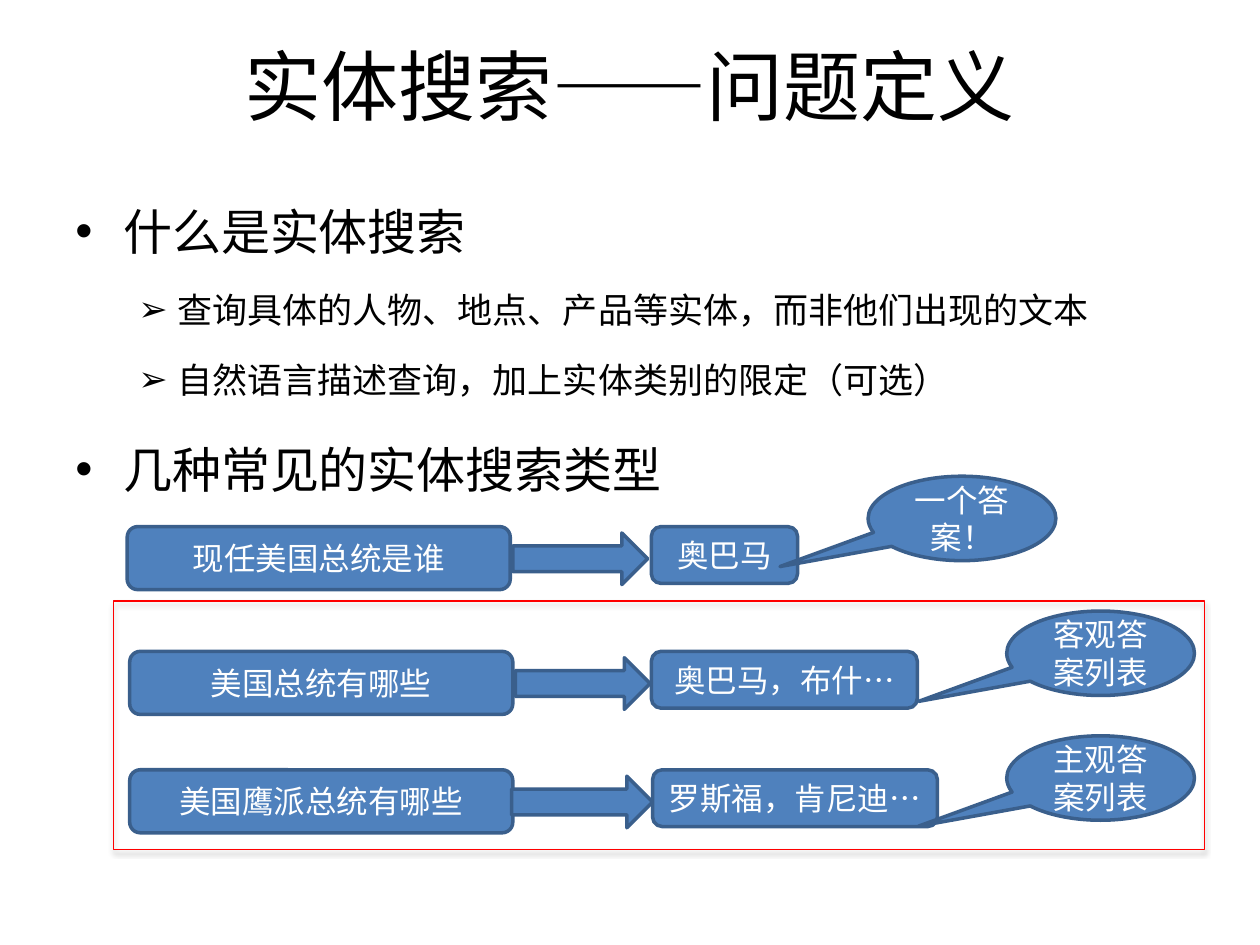
from lxml import etree
from pptx import Presentation
from pptx.dml.color import RGBColor
from pptx.enum.shapes import MSO_SHAPE as Shape
from pptx.enum.text import MSO_ANCHOR as Anchor, PP_ALIGN as Align
from pptx.oxml.ns import qn
from pptx.util import Inches, Pt

EAST_ASIAN_FONT = "Noto Sans CJK SC"
BLUE, DARK_BLUE, WHITE, BLACK, RED = "4F81BD", "3A5F8C", "FFFFFF", "000000", "FF0000"

# text, level, line spacing, space before in points
OUTLINE = [
    ("什么是实体搜索", 0, 1.0, 0),
    ("查询具体的人物、地点、产品等实体，而非他们出现的文本", 1, 1.5, 4),
    ("自然语言描述查询，加上实体类别的限定（可选）", 1, 1.5, 4),
    ("几种常见的实体搜索类型", 0, 1.5, 5.6),
]
# bullet, left margin and hanging indent in inches, text size
LEVELS = [("•", 0.38, 0.38, 28), ("➢", 0.81, 0.31, 20)]

# row top, question (text, left), arrow (left, width),
# answer (text, left, width), callout (text, left, top)
EXAMPLES = [
    (4.18, ("现任美国总统是谁", 1.01), (4.07, 1.07),
     ("奥巴马", 5.17, 1.16), ("一个答案！", 6.89, 3.78)),
    (5.17, ("美国总统有哪些", 1.03), (4.09, 1.07),
     ("奥巴马，布什…", 5.17, 2.11), ("客观答案列表", 7.99, 4.85)),
    (6.11, ("美国鹰派总统有哪些", 1.03), (4.06, 1.12),
     ("罗斯福，肯尼迪…", 5.18, 2.26), ("主观答案列表", 7.99, 5.84)),
]


def color(value):
    return RGBColor.from_string(value)


def add_run(paragraph, text, size, font_name, font_color):
    run = paragraph.add_run()
    run.text = text
    run.font.size = Pt(size)
    run.font.name = font_name
    run.font.color.rgb = color(font_color)
    east_asian = etree.SubElement(run.font._element, qn("a:ea"))
    east_asian.set("typeface", EAST_ASIAN_FONT)


def add_text_frame(slide, box):
    frame = slide.shapes.add_textbox(*map(Inches, box)).text_frame
    frame.word_wrap = True
    return frame


def add_title(slide, box):
    frame = add_text_frame(slide, box)
    frame.vertical_anchor = Anchor.MIDDLE
    paragraph = frame.paragraphs[0]
    paragraph.alignment = Align.CENTER
    add_run(paragraph, "实体搜索——问题定义", 44, EAST_ASIAN_FONT, BLACK)


def set_bullet(paragraph, character, margin, hanging):
    properties = paragraph._p.get_or_add_pPr()
    properties.set("marL", str(Inches(margin)))
    properties.set("indent", str(-Inches(hanging)))
    font = etree.SubElement(properties, qn("a:buFont"))
    font.set("typeface", "Arial")
    etree.SubElement(properties, qn("a:buChar")).set("char", character)


def add_outline(slide, box):
    frame = add_text_frame(slide, box)
    for index, (text, level, spacing, before) in enumerate(OUTLINE):
        paragraph = frame.add_paragraph() if index else frame.paragraphs[0]
        bullet, margin, hanging, size = LEVELS[level]
        set_bullet(paragraph, bullet, margin, hanging)
        paragraph.level = level
        paragraph.line_spacing = spacing
        paragraph.space_before = Pt(before)
        add_run(paragraph, text, size, "Times New Roman", BLACK)


def add_blue_shape(slide, kind, box, text=""):
    shape = slide.shapes.add_shape(kind, *map(Inches, box))
    shape.shadow.inherit = False
    shape.fill.solid()
    shape.fill.fore_color.rgb = color(BLUE)
    shape.line.color.rgb = color(DARK_BLUE)
    shape.line.width = Pt(2)
    if text:
        frame = shape.text_frame
        frame.word_wrap = True
        frame.vertical_anchor = Anchor.MIDDLE
        paragraph = frame.paragraphs[0]
        paragraph.alignment = Align.CENTER
        add_run(paragraph, text, 18, "Calibri", WHITE)
    return shape


def add_example(slide, top, question, arrow, answer, callout):
    """Draw one row: question, arrow, answer and the callout on the answer."""
    text, left = question
    add_blue_shape(slide, Shape.ROUNDED_RECTANGLE, (left, top, 3.04, 0.5), text)
    left, width = arrow
    add_blue_shape(slide, Shape.RIGHT_ARROW, (left, top + 0.05, width, 0.41))
    text, left, width = answer
    add_blue_shape(slide, Shape.ROUNDED_RECTANGLE, (left, top, width, 0.45), text)
    text, left, callout_top = callout
    bubble = add_blue_shape(slide, Shape.OVAL_CALLOUT,
                            (left, callout_top, 1.49, 0.67), text)
    bubble.adjustments[0] = -0.97
    bubble.adjustments[1] = 0.57


def add_list_frame(slide, box):
    """Outline the two list-type examples with a softly shadowed red frame."""
    frame = slide.shapes.add_shape(Shape.RECTANGLE, *map(Inches, box))
    frame.fill.background()
    frame.line.color.rgb = color(RED)
    frame.line.width = Pt(0.75)
    frame.shadow.inherit = False
    effects = frame._element.spPr.find(qn("a:effectLst"))
    shadow = etree.SubElement(effects, qn("a:outerShdw"), blurRad=str(Pt(3.1)),
                              dist=str(Pt(1.8)), dir="5400000", rotWithShape="0")
    shadow_color = etree.SubElement(shadow, qn("a:srgbClr"), val=BLACK)
    etree.SubElement(shadow_color, qn("a:alpha"), val="35000")


def main():
    presentation = Presentation()
    presentation.slide_width = Inches(10)
    presentation.slide_height = Inches(7.5)
    slide = presentation.slides.add_slide(presentation.slide_layouts[6])
    add_outline(slide, (0.5, 1.55, 9, 5.15))
    for example in EXAMPLES:
        add_example(slide, *example)
    add_list_frame(slide, (0.9, 4.77, 8.66, 1.97))
    add_title(slide, (0.5, 0.05, 9, 1.25))
    presentation.save("out.pptx")


if __name__ == "__main__":
    main()
